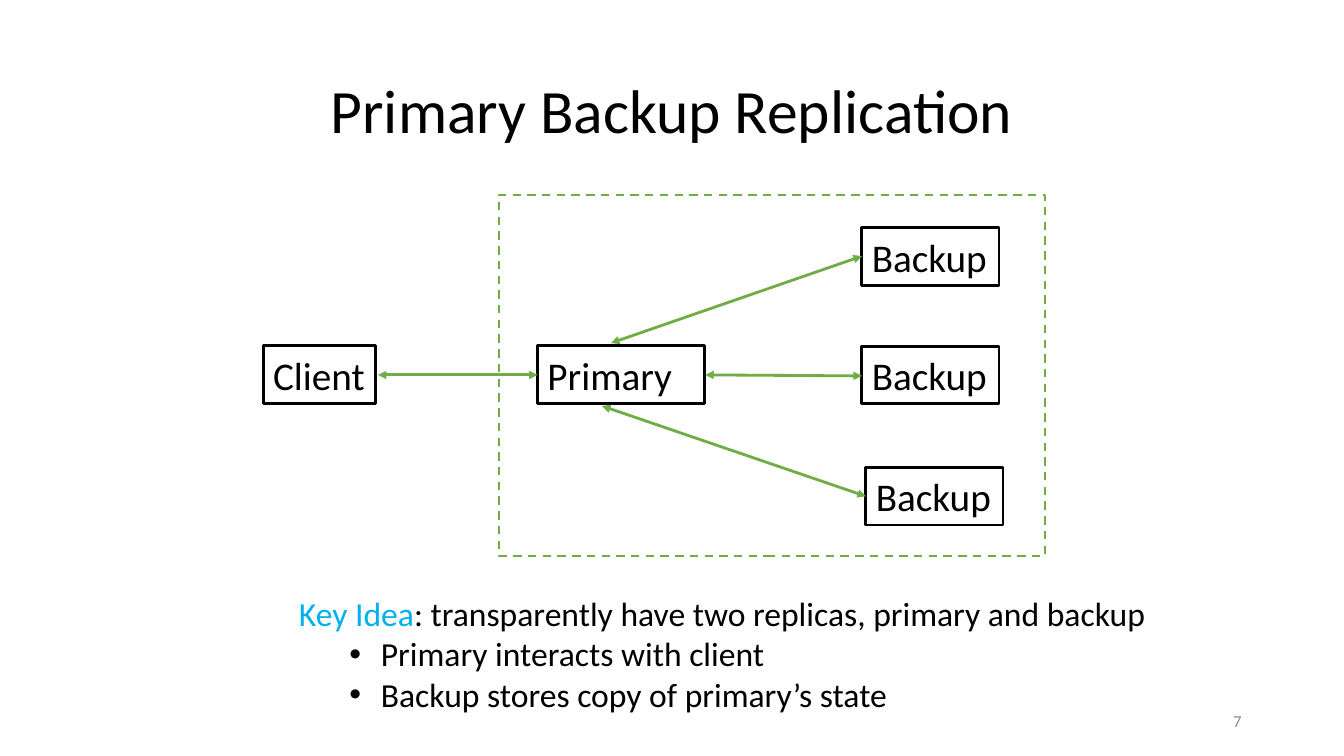
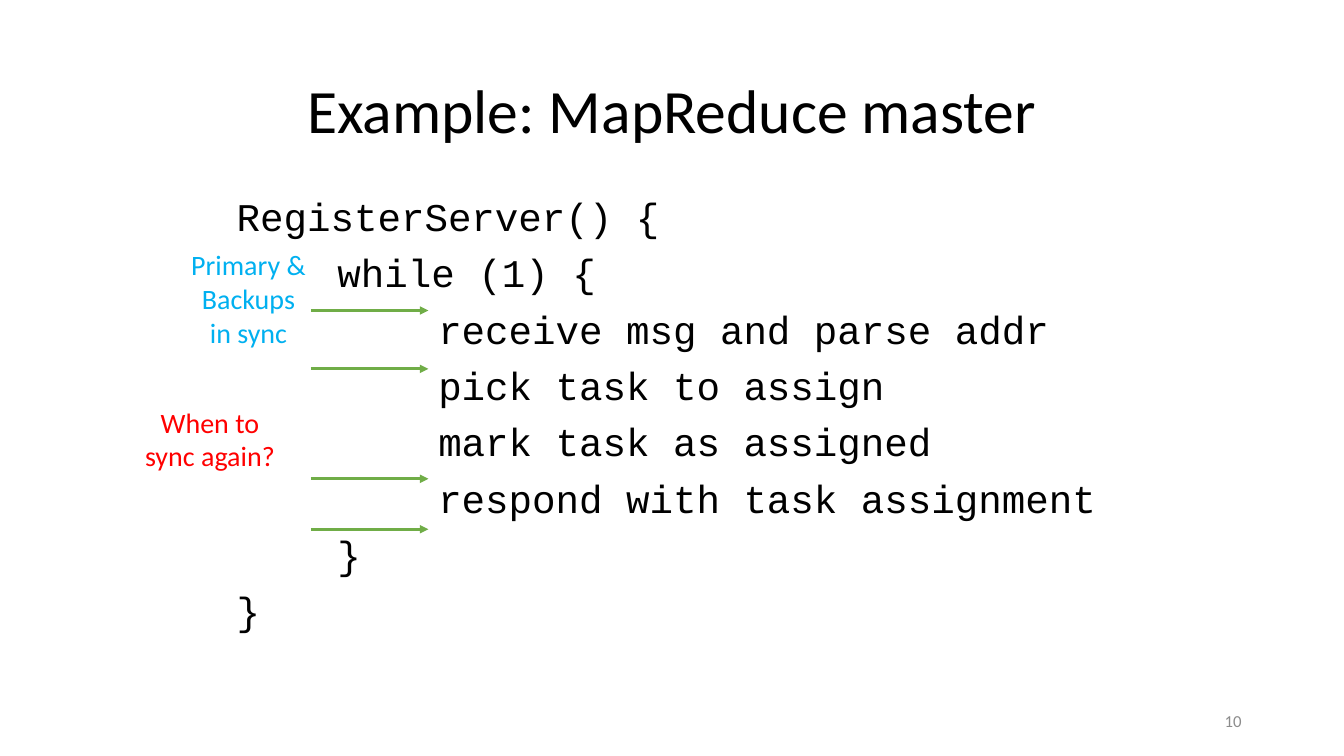
from lxml.etree import SubElement
from pptx import Presentation
from pptx.dml.color import RGBColor
from pptx.enum.dml import MSO_LINE
from pptx.enum.shapes import MSO_CONNECTOR, MSO_SHAPE
from pptx.enum.text import MSO_ANCHOR, PP_ALIGN
from pptx.oxml.ns import qn
from pptx.util import Pt

BLACK = RGBColor(0x00, 0x00, 0x00)
GREEN = RGBColor(0x70, 0xAD, 0x47)
BLUE = RGBColor(0x00, 0xB0, 0xF0)
RED = RGBColor(0xFF, 0x00, 0x00)
GRAY = RGBColor(0x8C, 0x8C, 0x8C)
SANS = "Calibri"
MONO = "Courier New"
BOX_HEIGHT = 41
CODE_INDENT = 72


def format_text(tf, size, color=BLACK, font=SANS, align=PP_ALIGN.LEFT):
    for p in tf.paragraphs:
        p.alignment = align
        for r in p.runs:
            r.font.size = Pt(size)
            r.font.name = font
            r.font.color.rgb = color


def indent(p, left, first=0):
    pPr = p._p.get_or_add_pPr()
    pPr.set("marL", str(Pt(left)))
    pPr.set("indent", str(Pt(first)))
    return pPr


def add_bullet(p):
    pPr = indent(p, 58.5, -22.5)
    SubElement(pPr, qn("a:buFont")).set("typeface", "Arial")
    SubElement(pPr, qn("a:buChar")).set("char", "•")


def add_text(s, x, y, w, h, text, size, **style):
    tf = s.shapes.add_textbox(Pt(x), Pt(y), Pt(w), Pt(h)).text_frame
    tf.word_wrap = True
    tf.text = text
    format_text(tf, size, **style)
    return tf


def add_rect(s, x, y, w, h, color, width):
    sp = s.shapes.add_shape(MSO_SHAPE.RECTANGLE, Pt(x), Pt(y), Pt(w), Pt(h))
    sp.shadow.inherit = False
    sp.fill.background()
    sp.line.color.rgb = color
    sp.line.width = Pt(width)
    return sp


def add_node(s, x, y, w, text):
    tf = add_rect(s, x, y, w, BOX_HEIGHT, BLACK, 2).text_frame
    tf.word_wrap = True
    tf.margin_right = 0
    tf.vertical_anchor = MSO_ANCHOR.MIDDLE
    tf.text = text
    format_text(tf, 28)


def add_arrow(s, x1, y1, x2, y2, both=False):
    line = s.shapes.add_connector(
        MSO_CONNECTOR.STRAIGHT, Pt(x1), Pt(y1), Pt(x2), Pt(y2))
    line.line.color.rgb = GREEN
    line.line.width = Pt(2)
    ln = line.line._get_or_add_ln()
    for end in ("a:headEnd", "a:tailEnd") if both else ("a:tailEnd",):
        SubElement(ln, qn(end)).set("type", "triangle")
    SubElement(line._element.spPr, qn("a:effectLst"))


def add_slide(prs, title, number):
    s = prs.slides.add_slide(prs.slide_layouts[5])
    sp = s.shapes.title
    sp.left, sp.top, sp.width, sp.height = Pt(66), Pt(28.8), Pt(828), Pt(104.4)
    tf = sp.text_frame
    tf.text = title
    tf.vertical_anchor = MSO_ANCHOR.MIDDLE
    tf.paragraphs[0].line_spacing = 0.9
    format_text(tf, 44, align=PP_ALIGN.CENTER)
    footer = add_text(s, 678, 500.5, 216, 28.8, number, 12,
                      color=GRAY, align=PP_ALIGN.RIGHT)
    footer.vertical_anchor = MSO_ANCHOR.MIDDLE
    return s


def add_code(s, lines):
    tf = add_text(s, 162, 137.5, 642, 348, "\n".join(t for _, t in lines),
                  28, font=MONO)
    for p, (level, _) in zip(tf.paragraphs, lines):
        p.line_spacing = 0.9
        p.space_before = Pt(10)
        indent(p, level * CODE_INDENT)


def build_replication(prs):
    s = add_slide(prs, "Primary Backup Replication", "7")
    add_node(s, 188, 247, 80.5, "Client")
    add_node(s, 384, 247, 119.5, "Primary")
    for x, y in ((615.6, 162.7), (615.6, 247.5), (618.5, 334)):
        add_node(s, x, y, 98, "Backup")
    add_rect(s, 356.4, 139, 390, 258, GREEN, 1.5).line.dash_style = MSO_LINE.DASH
    for ends in ((384, 267.8, 270, 267.8), (615.6, 183, 436.5, 245),
                 (615.6, 268.5, 503.8, 267.8), (618.5, 354.5, 430, 290)):
        add_arrow(s, *ends, both=True)
    tf = add_text(s, 206.5, 420, 701, 94.3,
                  "Key Idea\nPrimary interacts with client\n"
                  "Backup stores copy of primary’s state", 24)
    key, *bullets = tf.paragraphs
    key.add_run().text = ": transparently have two replicas, primary and backup"
    format_text(tf, 24)
    key.runs[0].font.color.rgb = BLUE
    for p in bullets:
        add_bullet(p)


def build_example(prs):
    s = add_slide(prs, "Example: MapReduce master", "10")
    add_code(s, (
        (0, "RegisterServer() {"),
        (1, "while (1) {"),
        (2, "receive msg and parse addr"),
        (2, "pick task to assign"),
        (2, "mark task as assigned"),
        (2, "respond with task assignment"),
        (1, "}"),
        (0, "}"),
    ))
    for y in (221.8, 263.5, 342, 378):
        add_arrow(s, 222, y, 306, y)
    add_text(s, 114.5, 173.5, 126, 80, "Primary &\nBackups\nin sync", 20,
             color=BLUE, align=PP_ALIGN.CENTER)
    add_text(s, 78, 285.8, 144, 55.4, "When to\nsync again?", 20,
             color=RED, align=PP_ALIGN.CENTER)


def main():
    prs = Presentation()
    prs.slide_width, prs.slide_height = Pt(960), Pt(540)
    build_replication(prs)
    build_example(prs)
    prs.save("out.pptx")


if __name__ == "__main__":
    main()
